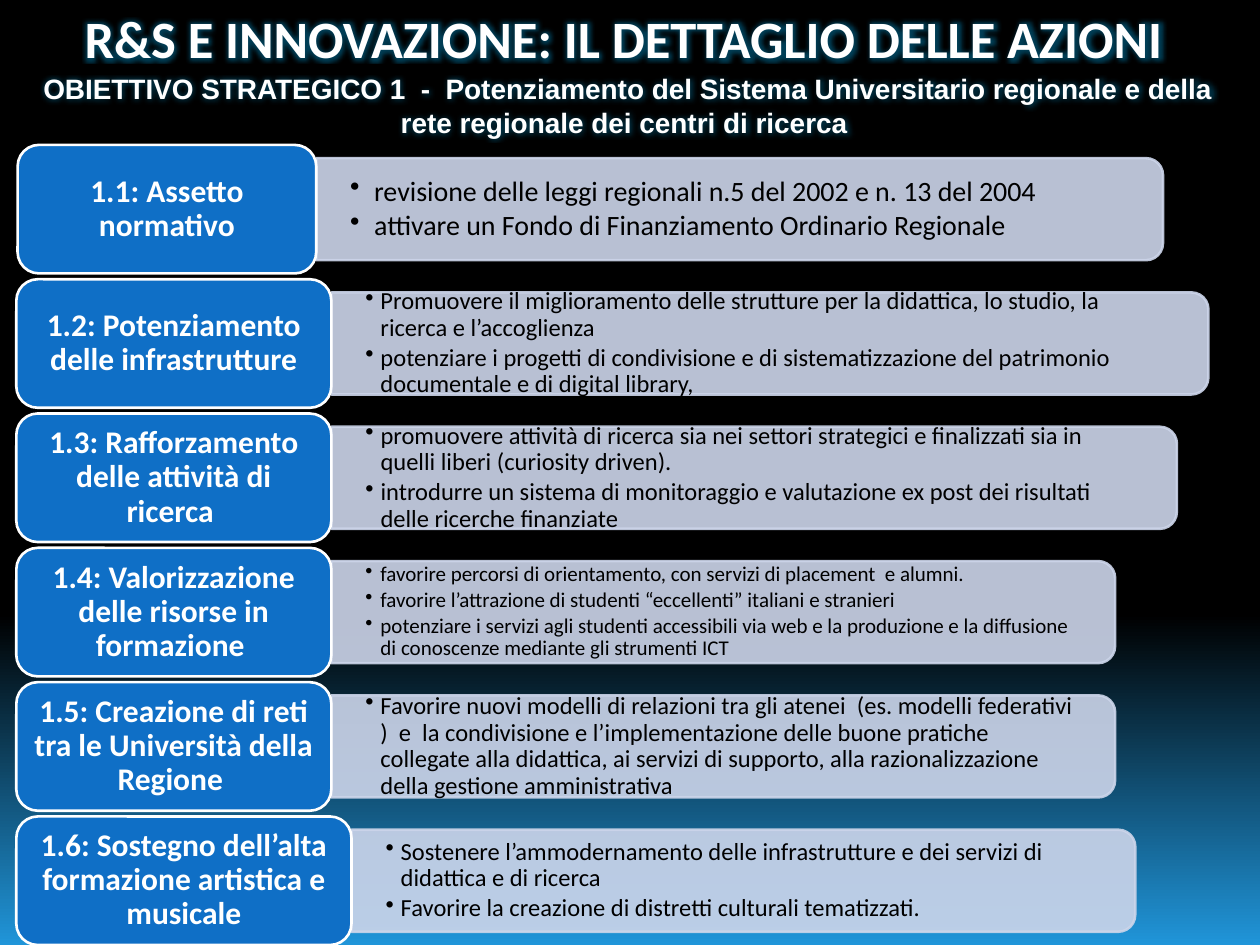
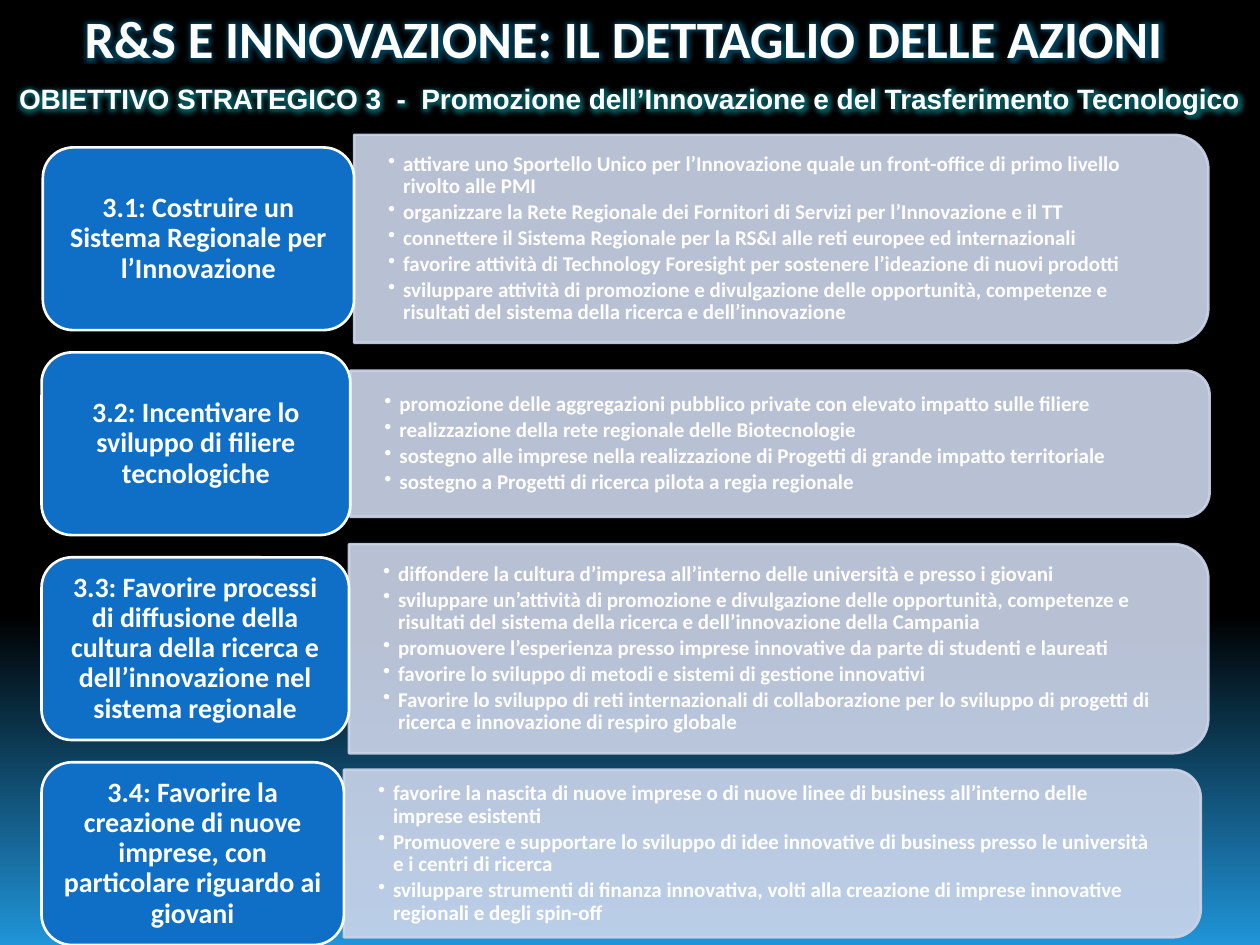
from dataclasses import dataclass

from lxml import etree
from pptx import Presentation
from pptx.dml.color import RGBColor
from pptx.enum.shapes import MSO_SHAPE
from pptx.enum.text import MSO_ANCHOR, PP_ALIGN
from pptx.oxml.ns import qn
from pptx.util import Inches, Pt

ROUND = MSO_SHAPE.ROUNDED_RECTANGLE
HALF = MSO_SHAPE.ROUND_2_SAME_RECTANGLE
CENTER, LEFT = PP_ALIGN.CENTER, PP_ALIGN.LEFT
TOP, MIDDLE = MSO_ANCHOR.TOP, MSO_ANCHOR.MIDDLE


@dataclass(frozen=True)
class Theme:
    black: str = "000000"
    white: str = "FFFFFF"
    sky: str = "2095D9"
    blue: str = "0F6FC6"
    pale: str = "CCD5EA"
    cyan: str = "009DD9"
    teal: str = "0BD0D9"
    body: str = "Calibri"
    sub: str = "Arial"
    title_size: int = 30
    sub_size: int = 16
    edge: float = 1.5
    opaque: int = 90


T = Theme()

TITLE = "R&S E INNOVAZIONE: IL DETTAGLIO DELLE AZIONI "

SLIDES = [
    {
        "sub": "OBIETTIVO STRATEGICO 1  -  Potenziamento del Sistema Universitario "
               "regionale e della rete regionale dei centri di ricerca ",
        "sub_box": (0.2, 0.52, 9.57, 0.64),
        "glow": T.cyan,
        "top": 1.15, "tall": 1.02, "tag_size": 18,
        "ink": T.black, "bold": False,
        "rows": [
            {"tag": "1.1: Assetto normativo",
             "left": 0.14, "wide": 2.37, "panel": (6.72, 0.81), "size": 16,
             "items": [
                 "revisione delle leggi regionali n.5 del 2002 e n. 13 del 2004",
                 "attivare un Fondo di Finanziamento Ordinario Regionale"]},
            {"tag": "1.2: Potenziamento delle infrastrutture",
             "left": 0.13, "wide": 2.5, "panel": (6.96, 0.81), "size": 14,
             "items": [
                 "Promuovere il miglioramento delle strutture per la didattica, "
                 "lo studio, la ricerca e l’accoglienza",
                 "potenziare i progetti di condivisione e di sistematizzazione "
                 "del patrimonio documentale e di digital library,"]},
            {"tag": "1.3: Rafforzamento delle attività di ricerca ",
             "left": 0.13, "wide": 2.5, "panel": (6.71, 0.81), "size": 14,
             "items": [
                 "promuovere attività di ricerca sia nei settori strategici e "
                 "finalizzati sia in quelli liberi (curiosity driven).",
                 "introdurre un sistema di monitoraggio e valutazione ex post "
                 "dei risultati delle ricerche finanziate"]},
            {"tag": "1.4: Valorizzazione delle risorse in formazione ",
             "left": 0.13, "wide": 2.5, "panel": (6.22, 0.81), "size": 12,
             "items": [
                 "favorire percorsi di orientamento, con servizi di placement  e alumni.",
                 "favorire l’attrazione di studenti “eccellenti” italiani e stranieri",
                 "potenziare i servizi agli studenti accessibili via web e la "
                 "produzione e la diffusione di conoscenze mediante gli strumenti ICT"]},
            {"tag": "1.5: Creazione di reti tra le Università della Regione ",
             "left": 0.13, "wide": 2.5, "panel": (6.22, 0.81), "size": 14,
             "items": [
                 "Favorire nuovi modelli di relazioni tra gli atenei  (es. modelli "
                 "federativi )  e  la condivisione e l’implementazione delle buone "
                 "pratiche collegate alla didattica, ai servizi di supporto, alla "
                 "razionalizzazione della gestione amministrativa"]},
            {"tag": "1.6: Sostegno dell’alta formazione artistica e musicale",
             "left": 0.13, "wide": 2.66, "panel": (6.22, 0.81), "size": 14,
             "items": [
                 "Sostenere l’ammodernamento delle infrastrutture e dei servizi "
                 "di didattica e di ricerca",
                 "Favorire la creazione di distretti culturali tematizzati."]},
        ],
    },
    {
        "sub": "OBIETTIVO STRATEGICO 3  -  Promozione dell’Innovazione e del "
               "Trasferimento Tecnologico",
        "sub_box": (0, 0.6, 10, 0.37),
        "glow": T.teal,
        "top": 1.17, "tall": 1.45, "tag_size": 16,
        "ink": T.white, "bold": True,
        "rows": [
            {"tag": "3.1: Costruire un Sistema Regionale per l’Innovazione",
             "left": 0.34, "wide": 2.47, "panel": (6.78, 1.65), "size": 12,
             "items": [
                 "attivare uno Sportello Unico per l’Innovazione quale un "
                 "front-office di primo livello  rivolto alle PMI",
                 "organizzare la Rete Regionale dei Fornitori di Servizi per "
                 "l’Innovazione e il TT",
                 "connettere il Sistema Regionale per la RS&I alle reti europee "
                 "ed internazionali",
                 "favorire attività di Technology Foresight per sostenere "
                 "l’ideazione di nuovi prodotti",
                 "sviluppare attività di promozione e divulgazione delle "
                 "opportunità, competenze e risultati del sistema della ricerca "
                 "e dell’innovazione"]},
            {"tag": "3.2: Incentivare lo sviluppo di filiere tecnologiche",
             "left": 0.33, "wide": 2.45, "panel": (6.82, 1.16), "size": 12,
             "items": [
                 "promozione delle aggregazioni pubblico private con elevato "
                 "impatto sulle filiere",
                 "realizzazione della rete regionale delle Biotecnologie",
                 "sostegno alle imprese nella realizzazione di Progetti di "
                 "grande impatto territoriale",
                 "sostegno a Progetti di ricerca pilota a regia regionale"]},
            {"tag": "3.3: Favorire processi di diffusione della cultura della "
                    "ricerca e dell’innovazione nel sistema regionale",
             "left": 0.33, "wide": 2.44, "panel": (6.82, 1.66), "size": 12,
             "items": [
                 "diffondere la cultura d’impresa all’interno delle università "
                 "e presso i giovani",
                 "sviluppare un’attività di promozione e divulgazione delle "
                 "opportunità, competenze e risultati del sistema della ricerca "
                 "e dell’innovazione della Campania",
                 "promuovere l’esperienza presso imprese innovative da parte di "
                 "studenti e laureati",
                 "favorire lo sviluppo di metodi e sistemi di gestione innovativi",
                 "Favorire lo sviluppo di reti internazionali di collaborazione "
                 "per lo sviluppo di progetti di ricerca e innovazione di "
                 "respiro globale"]},
            {"tag": "3.4: Favorire la creazione di nuove imprese, con "
                    "particolare riguardo ai giovani",
             "left": 0.33, "wide": 2.4, "panel": (6.8, 1.33), "size": 12,
             "items": [
                 "favorire la nascita di nuove imprese o di nuove linee di "
                 "business all’interno delle imprese esistenti",
                 "Promuovere e supportare lo sviluppo di idee innovative di "
                 "business presso le università e i centri di ricerca",
                 "sviluppare strumenti di finanza innovativa, volti alla "
                 "creazione di imprese innovative regionali e degli spin-off"]},
        ],
    },
]


def rgb(code):
    return RGBColor.from_string(code)


def place(*box):
    return [Inches(n) for n in box]


def fade(node, share):
    for color in node.iter(qn("a:srgbClr")):
        etree.SubElement(color, qn("a:alpha"), val=str(share * 1000))


def shine(run, color):
    glow = etree.Element(qn("a:glow"), rad=str(Pt(8)))
    etree.SubElement(glow, qn("a:srgbClr"), val=color)
    fade(glow, 40)
    effect = etree.Element(qn("a:effectLst"))
    effect.append(glow)
    run.font._element.find(qn("a:solidFill")).addnext(effect)


def bullet(para, indent):
    props = para._p.get_or_add_pPr()
    props.set("marL", str(Inches(indent)))
    props.set("indent", str(-Inches(indent)))
    etree.SubElement(props, qn("a:buChar"), char="•")


def write(shape, lines, size, font=T.body, color=T.white, bold=True, align=CENTER,
          anchor=MIDDLE, pad=(0.1, 0.05), lead=None, gap=0, indent=0, glow=None):
    frame = shape.text_frame
    frame.word_wrap = True
    frame.vertical_anchor = anchor
    frame.margin_left = frame.margin_right = Inches(pad[0])
    frame.margin_top = frame.margin_bottom = Inches(pad[1])
    for i, line in enumerate(lines):
        para = frame.paragraphs[0] if i == 0 else frame.add_paragraph()
        para.alignment = align
        para.line_spacing = lead
        para.space_after = Pt(gap)
        run = para.add_run()
        run.text = line
        run.font.size = Pt(size)
        run.font.name = font
        run.font.bold = bold
        run.font.color.rgb = rgb(color)
        if indent:
            bullet(para, indent)
        if glow:
            shine(run, glow)


def draw(slide, kind, box, fill, line):
    shape = slide.shapes.add_shape(kind, *place(*box))
    shape.shadow.inherit = False
    shape.fill.solid()
    shape.fill.fore_color.rgb = rgb(fill)
    shape.line.color.rgb = rgb(line)
    shape.line.width = Pt(T.edge)
    return shape


def paint(slide):
    fill = slide.background.fill
    fill.gradient()
    fill.gradient_angle = 270
    for stop, (spot, color) in zip(fill.gradient_stops, [(0.65, T.black), (1, T.sky)]):
        stop.position = spot
        stop.color.rgb = rgb(color)


def add_row(slide, data, row, top):
    tall = data["tall"]
    wide, high = row["panel"]
    left = row["left"] + row["wide"]
    mid = top + tall / 2
    panel = draw(slide, HALF, (left + (wide - high) / 2, mid - wide / 2, high, wide),
                 T.pale, T.pale)
    panel.rotation = 90
    fade(panel._element.spPr, T.opaque)

    inner = high * 0.9
    text = slide.shapes.add_textbox(
        *place(left, mid - inner / 2, wide - high * 0.05, inner))
    size = row["size"]
    write(text, row["items"], size, color=data["ink"], bold=data["bold"], align=LEFT,
          pad=(0.27, 0.14), lead=0.9, gap=size * 0.15,
          indent=0.19 if size == 16 else 0.12)

    tag = draw(slide, ROUND, (row["left"], top, row["wide"], tall), T.blue, T.white)
    write(tag, [row["tag"]], data["tag_size"], pad=(0.07, 0.04), lead=0.9)


def add_page(deck, data):
    slide = deck.slides.add_slide(deck.slide_layouts[6])
    paint(slide)
    title = slide.shapes.add_textbox(*place(0, 0, 10, 0.61))
    write(title, [TITLE], T.title_size, anchor=TOP, glow=T.cyan)
    sub = slide.shapes.add_textbox(*place(*data["sub_box"]))
    write(sub, [data["sub"]], T.sub_size, font=T.sub, anchor=TOP, glow=data["glow"])
    rows = data["rows"]
    step = (7.5 - data["tall"] - data["top"]) / (len(rows) - 1)
    for i, row in enumerate(rows):
        add_row(slide, data, row, data["top"] + i * step)


def main():
    deck = Presentation()
    deck.slide_width, deck.slide_height = place(10, 7.5)
    for data in SLIDES:
        add_page(deck, data)
    deck.save("out.pptx")


if __name__ == "__main__":
    main()
